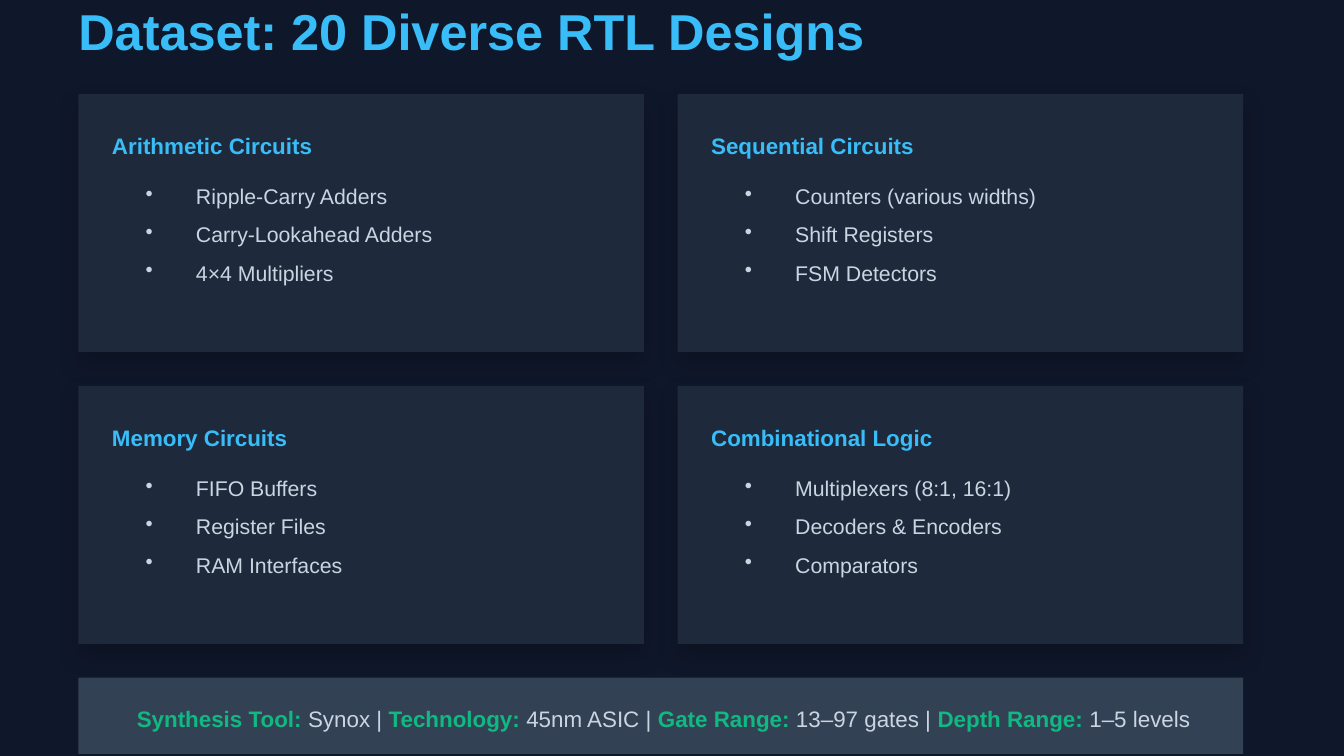
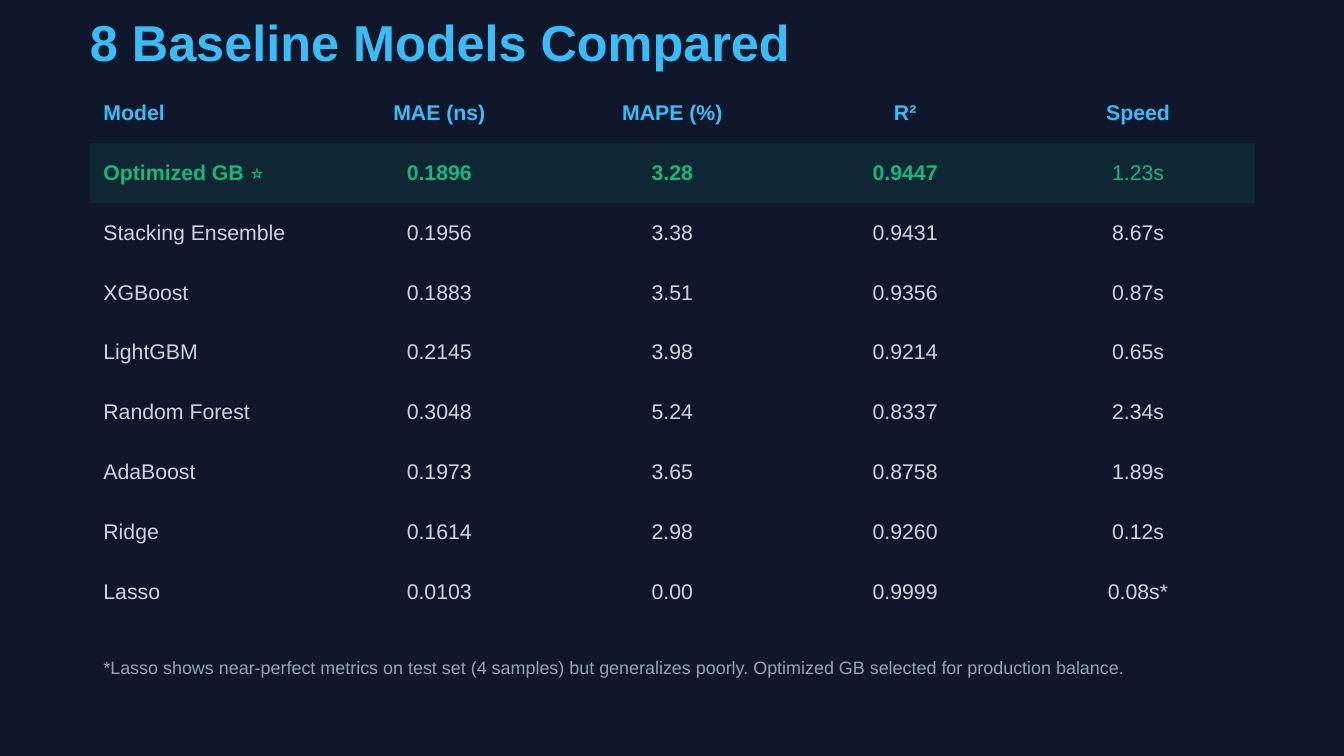
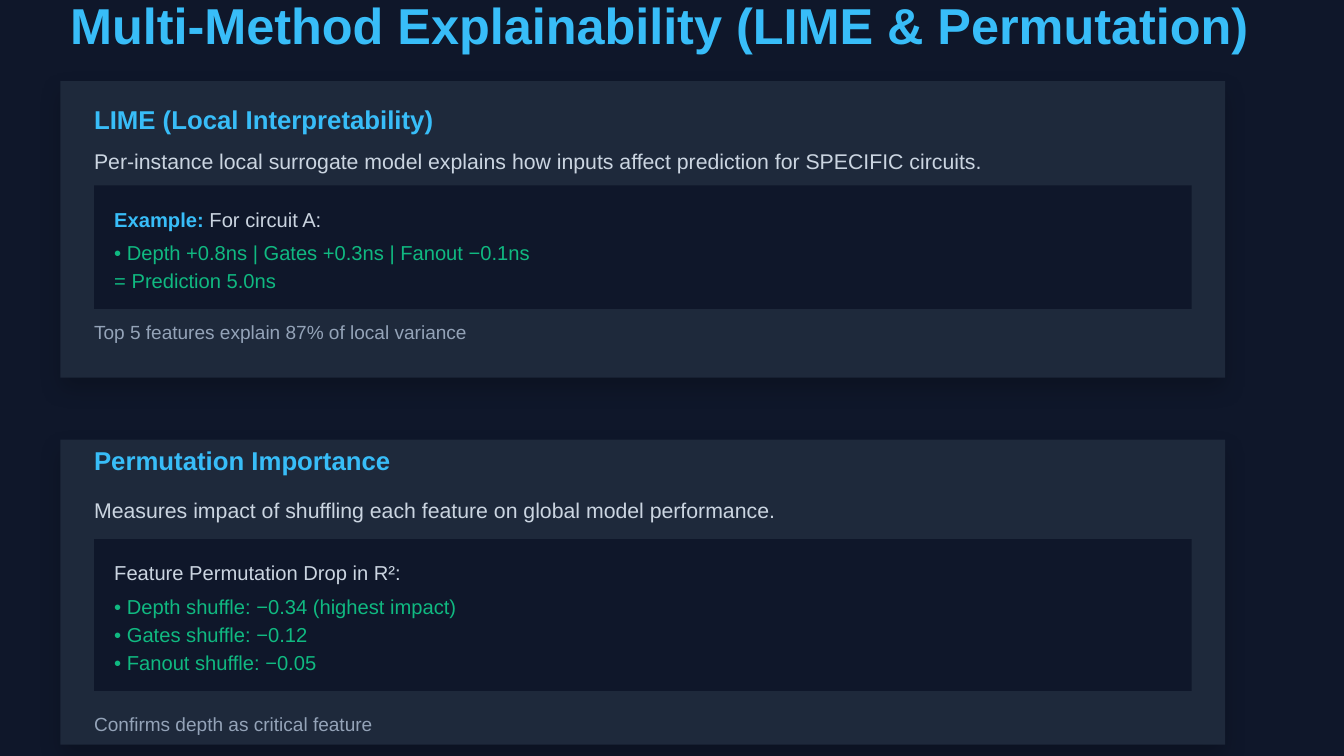
import pptx
import pptx.dml.color
import pptx.enum.shapes
import pptx.enum.text
import pptx.oxml
import pptx.oxml.ns
import pptx.util

Pt = pptx.util.Pt
RGBColor = pptx.dml.color.RGBColor
Align = pptx.enum.text.PP_ALIGN

NAVY = RGBColor(0x0F, 0x17, 0x2A)
CARD = RGBColor(0x1E, 0x29, 0x3B)
STRIP = RGBColor(0x33, 0x41, 0x55)
HIGHLIGHT = RGBColor(0x0F, 0x27, 0x33)
SKY = RGBColor(0x38, 0xBD, 0xF8)
GREEN = RGBColor(0x10, 0xB9, 0x81)
LIGHT = RGBColor(0xCB, 0xD5, 0xE1)
MUTED = RGBColor(0x94, 0xA3, 0xB8)

FONT = "Arial"
BODY_SIZE = 11.4
WIDE = 624
NO_GRID_STYLE = "{2D5ABB26-0587-4C30-8999-92F81FD0307C}"

CIRCUITS = [
    ("Arithmetic Circuits", ["Ripple-Carry Adders", "Carry-Lookahead Adders", "4×4 Multipliers"]),
    ("Sequential Circuits", ["Counters (various widths)", "Shift Registers", "FSM Detectors"]),
    ("Memory Circuits", ["FIFO Buffers", "Register Files", "RAM Interfaces"]),
    ("Combinational Logic", ["Multiplexers (8:1, 16:1)", "Decoders & Encoders", "Comparators"]),
]
SYNTHESIS_FACTS = [
    ("Synthesis Tool:", " Synox | "),
    ("Technology:", " 45nm ASIC | "),
    ("Gate Range:", " 13–97 gates | "),
    ("Depth Range:", " 1–5 levels"),
]
MODELS = [
    ("Model", "MAE (ns)", "MAPE (%)", "R²", "Speed"),
    ("Optimized GB ⭐", "0.1896", "3.28", "0.9447", "1.23s"),
    ("Stacking Ensemble", "0.1956", "3.38", "0.9431", "8.67s"),
    ("XGBoost", "0.1883", "3.51", "0.9356", "0.87s"),
    ("LightGBM", "0.2145", "3.98", "0.9214", "0.65s"),
    ("Random Forest", "0.3048", "5.24", "0.8337", "2.34s"),
    ("AdaBoost", "0.1973", "3.65", "0.8758", "1.89s"),
    ("Ridge", "0.1614", "2.98", "0.9260", "0.12s"),
    ("Lasso", "0.0103", "0.00", "0.9999", "0.08s*"),
]


def style_font(font, size, color, bold=False):
    font.name = FONT
    font.size = Pt(size)
    font.color.rgb = color
    font.bold = bold


def add_page(deck):
    page = deck.slides.add_slide(deck.slide_layouts[6])
    page.background.fill.solid()
    page.background.fill.fore_color.rgb = NAVY
    return page


def add_panel(page, left, top, width, height, color):
    panel = page.shapes.add_shape(
        pptx.enum.shapes.MSO_SHAPE.RECTANGLE, Pt(left), Pt(top), Pt(width), Pt(height))
    panel.fill.solid()
    panel.fill.fore_color.rgb = color
    panel.line.fill.background()
    panel.shadow.inherit = False
    return panel


def add_card(page, left, top, width, height):
    """Add a panel with a soft shadow below it."""
    card = add_panel(page, left, top, width, height, CARD)
    effects = card._element.spPr.find(pptx.oxml.ns.qn("a:effectLst"))
    effects.append(pptx.oxml.parse_xml(
        f'<a:outerShdw {pptx.oxml.ns.nsdecls("a")} blurRad="{Pt(12)}" dist="{Pt(6)}" '
        'dir="5400000" algn="ctr" rotWithShape="0">'
        '<a:srgbClr val="000000"><a:alpha val="20000"/></a:srgbClr></a:outerShdw>'))


def add_frame(page, left, top, width, height):
    """Add a wrapping text box without insets and return its text frame."""
    frame = page.shapes.add_textbox(Pt(left), Pt(top), Pt(width), Pt(height)).text_frame
    frame.word_wrap = True
    frame.margin_left = frame.margin_right = frame.margin_top = frame.margin_bottom = 0
    return frame


def add_line(page, left, top, width, text, size, spacing, color, bold=False):
    """Add one line of text in a single style."""
    para = add_frame(page, left, top, width, spacing).paragraphs[0]
    para.text = text
    para.line_spacing = Pt(spacing)
    style_font(para.font, size, color, bold)


def add_spans(page, left, top, width, spans, size, spacing, align=Align.LEFT):
    """Add one line made of (text, color, bold) spans."""
    para = add_frame(page, left, top, width, spacing).paragraphs[0]
    para.alignment = align
    para.line_spacing = Pt(spacing)
    for text, color, bold in spans:
        span = para.add_run()
        span.text = text
        style_font(span.font, size, color, bold)


def add_title(page, left, top, text, width=636.5):
    add_line(page, left, top, width, text, 27, 32.4, SKY, bold=True)


def add_bullets(page, left, top, width, height, items):
    frame = add_frame(page, left, top, width, height)
    for index, item in enumerate(items):
        para = frame.add_paragraph() if index else frame.paragraphs[0]
        para.text = item
        para.line_spacing = Pt(20.5)
        style_font(para.font, BODY_SIZE, LIGHT)
        properties = para._p.get_or_add_pPr()
        properties.set("marL", str(Pt(27)))
        properties.set("indent", str(-Pt(27)))
        bullet = pptx.oxml.parse_xml(f'<a:buChar {pptx.oxml.ns.nsdecls("a")} char="•"/>')
        properties.insert_element_before(bullet, "a:tabLst", "a:defRPr", "a:extLst")


def add_circuit_card(page, left, top, heading, items):
    add_card(page, left, top, 303, 138.2)
    add_line(page, left + 18, top + 18, 272, heading, 12, 16.8, SKY, bold=True)
    add_bullets(page, left + 36, top + 41, 249, 79, items)


def add_model_table(page, left, top):
    row_count, column_count = len(MODELS), len(MODELS[0])
    graphic = page.shapes.add_table(
        row_count, column_count, Pt(left), Pt(top), Pt(WIDE), Pt(32.08 * row_count))
    table = graphic.table
    table.horz_banding = False
    table.first_row = False
    next(graphic._element.iter(pptx.oxml.ns.qn("a:tableStyleId"))).text = NO_GRID_STYLE
    for row, values in enumerate(MODELS):
        color = {0: SKY, 1: GREEN}.get(row, LIGHT)
        for column, value in enumerate(values):
            cell = table.cell(row, column)
            cell.vertical_anchor = pptx.enum.text.MSO_ANCHOR.MIDDLE
            if row == 1:
                cell.fill.solid()
                cell.fill.fore_color.rgb = HIGHLIGHT
            else:
                cell.fill.background()
            para = cell.text_frame.paragraphs[0]
            para.alignment = Align.CENTER if column else Align.LEFT
            span = para.add_run()
            span.text = value
            bold = row == 0 or (row == 1 and column < column_count - 1)
            style_font(span.font, BODY_SIZE, color, bold)


def add_method_card(page, top, height, heading, summary, example, results, note, offsets):
    """Add a method card; offsets place heading, summary, example panel and note below its top."""
    heading_top, summary_top, panel_top, note_top = (top + offset for offset in offsets)
    left = 50.4
    add_card(page, left - 18, top, WIDE, height)
    add_panel(page, left, panel_top, 588, 36 + 15.1 * len(results), NAVY)
    add_line(page, left, heading_top, 600, heading, 13.8, 16.6, SKY, bold=True)
    add_line(page, left, summary_top, 600, summary, BODY_SIZE, 16, LIGHT)
    add_spans(page, left + 10.8, panel_top + 9.4, 580, example, 10.8, 15.1)
    for index, result in enumerate(results):
        add_line(page, left + 10.8, panel_top + 27.4 + 15.1 * index, 580, result,
                 10.8, 15.1, GREEN)
    add_line(page, left, note_top, 600, note, 10.2, 14.3, MUTED)


def build_dataset_page(deck):
    page = add_page(deck)
    left, top = 42, 50.4
    add_title(page, left, 0, "Dataset: 20 Diverse RTL Designs")
    for index, (heading, items) in enumerate(CIRCUITS):
        row, column = divmod(index, 2)
        add_circuit_card(page, left + 321 * column, top + 156.4 * row, heading, items)
    add_panel(page, left, 363.1, WIDE, 40.8, STRIP)
    spans = []
    for label, value in SYNTHESIS_FACTS:
        spans += [(label, GREEN, True), (value, LIGHT, False)]
    add_spans(page, 51, 375.1, 609, spans, 12, 16.8, Align.CENTER)


def build_models_page(deck):
    page = add_page(deck)
    add_model_table(page, 48.2, 44.6)
    add_title(page, 48.2, 6, "8 Baseline Models Compared")
    add_line(page, 55.4, 350, 636.5,
             "*Lasso shows near-perfect metrics on test set (4 samples) but generalizes poorly. "
             "Optimized GB selected for production balance.", 9.6, 13.4, MUTED)


def build_explainability_page(deck):
    page = add_page(deck)
    add_title(page, 37.6, -2.9, "Multi-Method Explainability (LIME & Permutation)", 664.6)
    add_method_card(
        page, 43.4, 159, "LIME (Local Interpretability)",
        "Per-instance local surrogate model explains how inputs affect prediction "
        "for SPECIFIC circuits.",
        [("Example:", SKY, True), (" For circuit A:", LIGHT, False)],
        ["• Depth +0.8ns | Gates +0.3ns | Fanout −0.1ns", "= Prediction 5.0ns"],
        "Top 5 features explain 87% of local variance", (12, 33.6, 55.9, 126.5))
    add_method_card(
        page, 235.6, 163.4, "Permutation Importance",
        "Measures impact of shuffling each feature on global model performance.",
        [("Feature Permutation Drop in R²:", LIGHT, False)],
        ["• Depth shuffle: −0.34 (highest impact)", "• Gates shuffle: −0.12",
         "• Fanout shuffle: −0.05"],
        "Confirms depth as critical feature", (2.8, 28.7, 53.3, 143.9))


def main():
    deck = pptx.Presentation()
    deck.slide_width, deck.slide_height = Pt(720), Pt(405)
    build_dataset_page(deck)
    build_models_page(deck)
    build_explainability_page(deck)
    deck.save("out.pptx")


if __name__ == "__main__":
    main()
